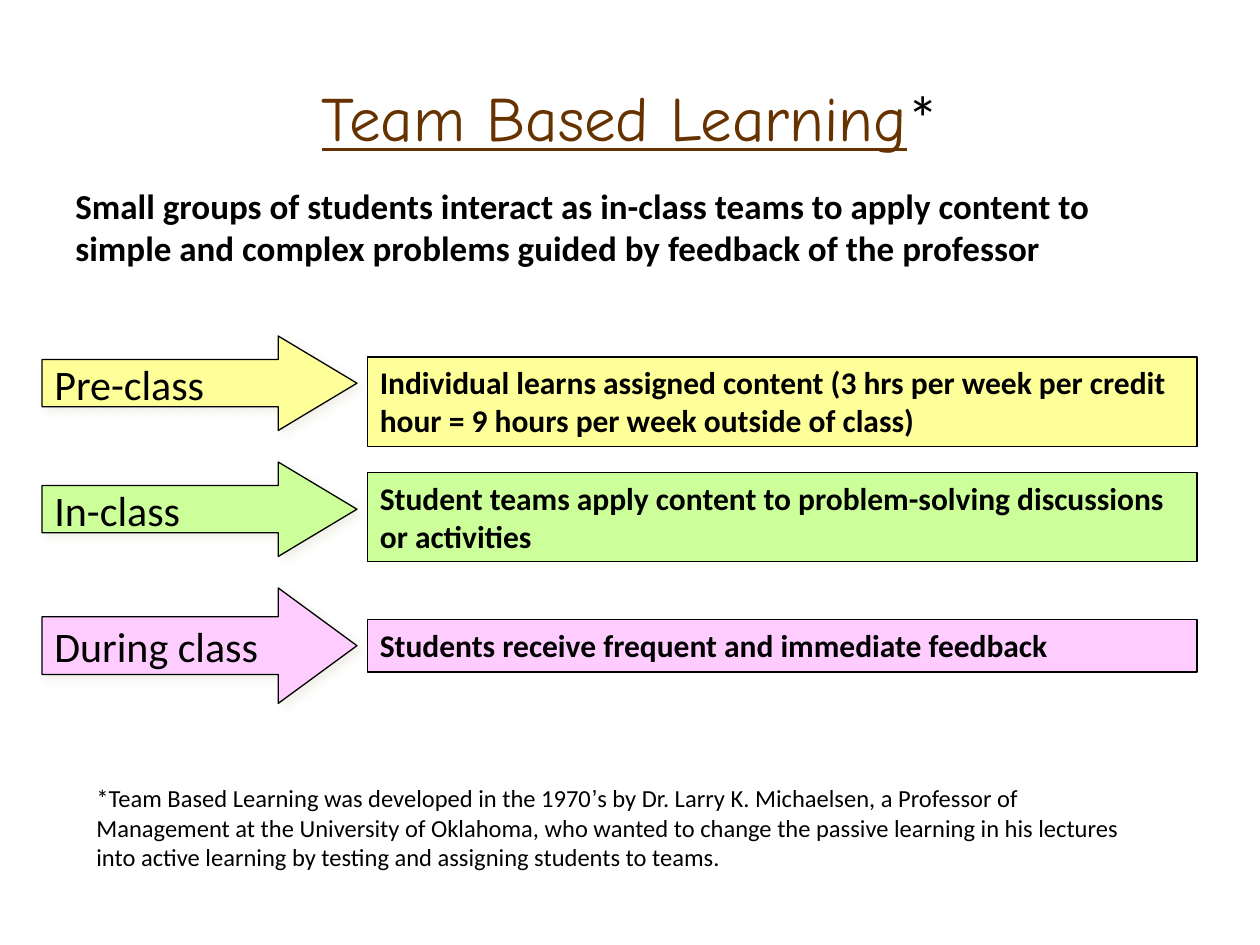
from dataclasses import dataclass

from lxml import etree
from pptx import Presentation
from pptx import util as u
from pptx.dml.color import RGBColor
from pptx.enum import shapes, text
from pptx.oxml import ns

COLUMNS, ROWS = 120, 90
CELL = u.Inches(10) // COLUMNS
ARROW_LEFT, ARROW_WIDTH, ARROW_HEAD = 4, 30, 7.5
BOX_LEFT, BOX_WIDTH = 35, 79
COLORS = {
    "title": "663300",
    "ink": "000000",
    "yellow": "FFFF99",
    "green": "CCFF99",
    "pink": "FFCCFF",
    "shadow": "EEECE1",
}


@dataclass
class Stage:
    label: str
    description: str
    color: str
    arrow_top: float
    arrow_height: float
    box_top: float
    box_height: float


STAGES = [
    Stage("Pre-class",
          "Individual learns assigned content (3 hrs per week per credit hour = 9 hours per week outside of class)",
          "yellow", 32, 9, 34, 8.5),
    Stage("In-class",
          "Student teams apply content to problem-solving discussions or activities",
          "green", 44, 9, 45, 8.5),
    Stage("During class",
          "Students receive frequent and immediate feedback",
          "pink", 56, 11, 59, 5),
]


def rgb(name: str) -> RGBColor:
    return RGBColor.from_string(COLORS[name])


def grid(*cells: float) -> list[int]:
    return [round(cell * CELL) for cell in cells]


def add_run(paragraph, words: str, size: float, font: str = "Calibri",
            color: str = "ink", bold: bool = False, underline: bool = False) -> None:
    run = paragraph.add_run()
    run.text = words
    run.font.size = u.Pt(size)
    run.font.name = font
    run.font.bold = bold
    run.font.underline = underline
    run.font.color.rgb = rgb(color)


def add_text_box(slide, left: float, top: float, width: float, height: float):
    shape = slide.shapes.add_textbox(*grid(left, top, width, height))
    shape.text_frame.word_wrap = True
    return shape.text_frame.paragraphs[0]


def add_panel(slide, kind, left: float, top: float, width: float, height: float, color: str):
    shape = slide.shapes.add_shape(kind, *grid(left, top, width, height))
    shape.shadow.inherit = False
    shape.fill.solid()
    shape.fill.fore_color.rgb = rgb(color)
    shape.line.color.rgb = rgb("ink")
    shape.line.width = u.Pt(0.75)
    shape.text_frame.paragraphs[0].alignment = text.PP_ALIGN.LEFT
    return shape


def add_soft_shadow(shape) -> None:
    effects = shape._element.spPr.find(ns.qn("a:effectLst"))
    shadow = etree.SubElement(effects, ns.qn("a:outerShdw"), blurRad=str(u.Pt(5)),
                              dist=str(u.Pt(3)), dir=str(45 * 60000), rotWithShape="0")
    color = etree.SubElement(shadow, ns.qn("a:srgbClr"), val=COLORS["shadow"])
    etree.SubElement(color, ns.qn("a:alpha"), val="75000")


def add_stage(slide, stage: Stage) -> None:
    box = add_panel(slide, shapes.MSO_SHAPE.RECTANGLE, BOX_LEFT, stage.box_top,
                    BOX_WIDTH, stage.box_height, stage.color)
    box.text_frame.word_wrap = True
    box.text_frame.auto_size = text.MSO_AUTO_SIZE.SHAPE_TO_FIT_TEXT
    box.text_frame.vertical_anchor = text.MSO_ANCHOR.TOP
    add_run(box.text_frame.paragraphs[0], stage.description, 18, bold=True)

    arrow = add_panel(slide, shapes.MSO_SHAPE.RIGHT_ARROW, ARROW_LEFT, stage.arrow_top,
                      ARROW_WIDTH, stage.arrow_height, stage.color)
    arrow.adjustments[1] = ARROW_HEAD / stage.arrow_height
    add_soft_shadow(arrow)
    arrow.text_frame.word_wrap = False
    arrow.text_frame.vertical_anchor = text.MSO_ANCHOR.MIDDLE
    add_run(arrow.text_frame.paragraphs[0], stage.label, 24)


def add_title(slide) -> None:
    title = slide.shapes.title
    title.left, title.top, title.width, title.height = grid(6, 3.6, 108, 15)
    title.text_frame.vertical_anchor = text.MSO_ANCHOR.MIDDLE
    paragraph = title.text_frame.paragraphs[0]
    paragraph.alignment = text.PP_ALIGN.CENTER
    add_run(paragraph, "Team Based Learning", 36, "Comic Neue", "title", underline=True)
    add_run(paragraph, "*", 36)


def main() -> None:
    presentation = Presentation()
    presentation.slide_width = COLUMNS * CELL
    presentation.slide_height = ROWS * CELL
    slide = presentation.slides.add_slide(presentation.slide_layouts.get_by_name("Title Only"))
    add_title(slide)

    summary = add_text_box(slide, 6, 17, 108, 63)
    add_run(summary, "Small groups of students interact as in-class teams to apply content to "
                     "simple and complex problems guided by feedback of the professor", 20, bold=True)

    for stage in STAGES:
        add_stage(slide, stage)

    footnote = add_text_box(slide, 8, 74, 103, 9.6)
    add_run(footnote, "*Team Based Learning was developed in the 1970", 14)
    add_run(footnote, "’", 14, "Arial")
    add_run(footnote, "s by Dr. Larry K. Michaelsen, a Professor of Management at the University of "
                      "Oklahoma, who wanted to change the passive learning in his lectures into active "
                      "learning by testing and assigning students to teams.", 14)

    presentation.save("out.pptx")


if __name__ == "__main__":
    main()
